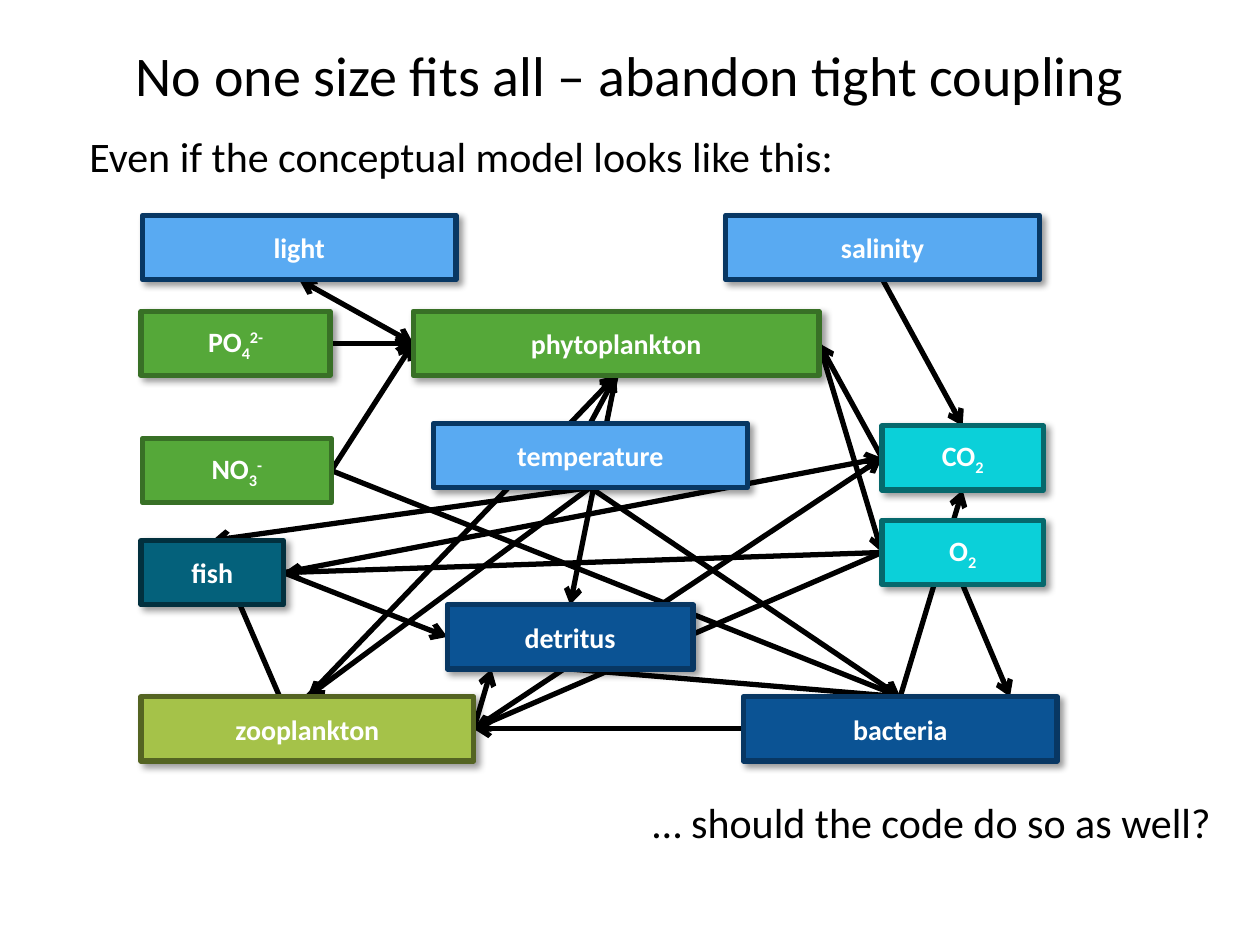
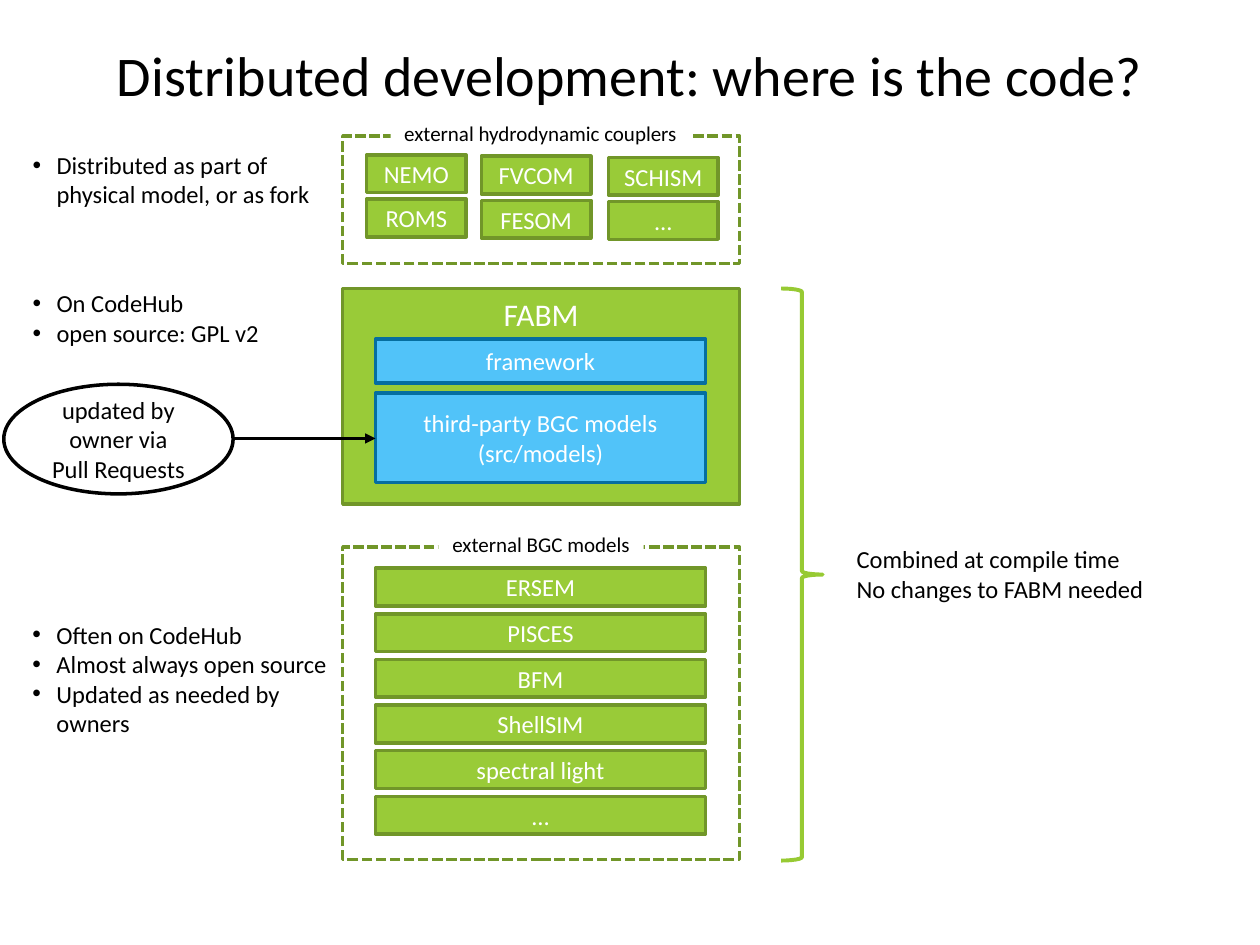
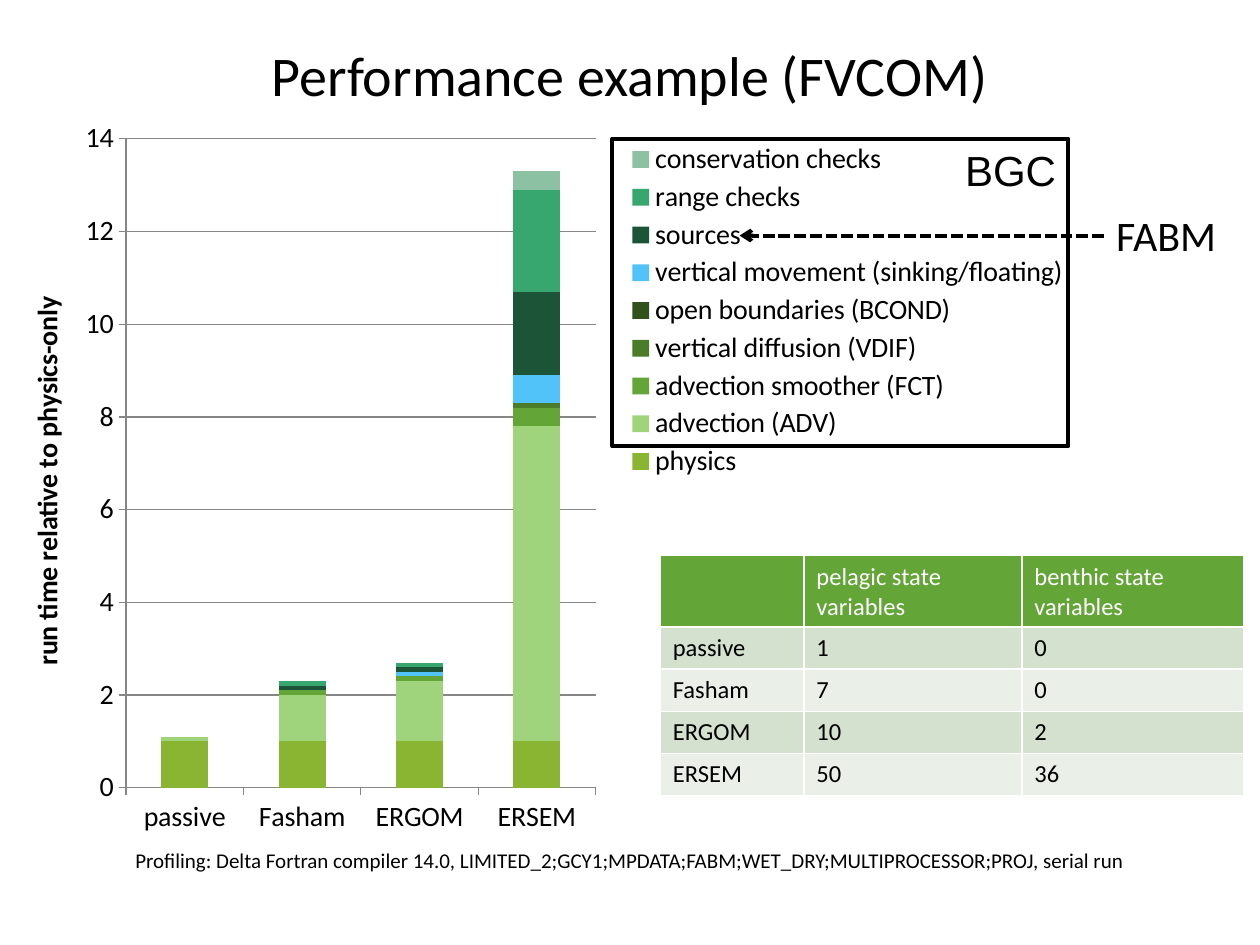
import dataclasses

import pptx
import pptx.chart.data
import pptx.dml.color
import pptx.enum.chart
import pptx.enum.dml
import pptx.enum.shapes
import pptx.enum.text
import pptx.oxml
import pptx.oxml.ns
import pptx.util
import lxml.etree

Pt = pptx.util.Pt
SHAPE = pptx.enum.shapes.MSO_SHAPE
ALIGN = pptx.enum.text.PP_ALIGN
ANCHOR = pptx.enum.text.MSO_ANCHOR
qn = pptx.oxml.ns.qn

# Anchor points on a box, as shares of its width and height
TOP, BOTTOM, LEFT, RIGHT = (0.5, 0), (0.5, 1), (0, 0.5), (1, 0.5)


@dataclasses.dataclass(frozen=True)
class Theme:
    font: str = "Calibri"
    badge_font: str = "Arial"
    # Type sizes
    title: int = 32
    lead: int = 24
    heading: int = 18
    node: int = 16
    body: int = 14
    small: int = 12
    # Colours
    black: str = "000000"
    white: str = "FFFFFF"
    grid: str = "868686"
    accent: str = "97CA33"
    header: str = "63A537"
    bands: tuple = ("D3E1CE", "EAF0E8")
    # Fill and outline pairs
    forcing: tuple = ("59AAF2", "083763")
    producer: tuple = ("55A839", "387026")
    grazer: tuple = ("A5C249", "546422")
    gas: tuple = ("0BD0D9", "06686C")
    fish: tuple = ("04617B", "02303E")
    decay: tuple = ("0B5394", "083763")
    green: tuple = ("99CB38", "719629")
    blue: tuple = ("51C3F9", "056EA0")
    plain: tuple = ("FFFFFF", "000000")
    dashed: tuple = (None, "719629")
    outlined: tuple = (None, "000000")


def rgb(value):
    return pptx.dml.color.RGBColor.from_string(value)


def sub(parent, tag, **attributes):
    return lxml.etree.SubElement(parent, qn(tag), attributes)


class Deck:
    """Holds the style and current slide; lengths are cells of a 100 by 75 grid."""

    COLUMNS, ROWS = 100, 75

    def __init__(self, theme):
        self.theme = theme
        self.file = pptx.Presentation()
        self.file.slide_width = pptx.util.Inches(10)
        self.file.slide_height = pptx.util.Inches(7.5)
        self.shapes = None

    def frame(self, left, top, width, height):
        column = self.file.slide_width / self.COLUMNS
        row = self.file.slide_height / self.ROWS
        return [round(v) for v in (left * column, top * row, width * column, height * row)]

    def slide(self, title):
        self.shapes = self.file.slides.add_slide(self.file.slide_layouts[5]).shapes
        heading = self.shapes.title
        heading.left, heading.top, heading.width, heading.height = self.frame(5, 2.7, 90, 6.4)
        self.fill_text(heading.text_frame, title, self.theme.title, align=ALIGN.CENTER,
                       anchor=ANCHOR.MIDDLE)

    def style(self, font, size, color=None, bold=False, face=None):
        font.name = face or self.theme.font
        font.size = Pt(size)
        font.bold = bold
        font.color.rgb = rgb(color or self.theme.black)

    def fill_text(self, text_frame, text, size, color=None, align=ALIGN.LEFT,
                  anchor=ANCHOR.TOP, bold=False, bullets=False, face=None, wrap=True):
        text_frame.word_wrap = wrap
        text_frame.vertical_anchor = anchor
        text_frame.text = text
        for paragraph in text_frame.paragraphs:
            paragraph.alignment = align
            if bullets:
                hanging = pptx.util.Inches(0.19)
                properties = paragraph._p.get_or_add_pPr()
                properties.set("marL", str(hanging))
                properties.set("indent", str(-hanging))
                sub(properties, "a:buFont", typeface="Arial")
                sub(properties, "a:buChar", char="•")
            self.style(paragraph.font, size, color, bold, face)

    def box(self, at, colors, text="", size=None, color=None, weight=2, kind=SHAPE.RECTANGLE,
            dashed=False, align=ALIGN.CENTER, anchor=ANCHOR.MIDDLE, **options):
        box = self.shapes.add_shape(kind, *self.frame(*at))
        box.shadow.inherit = False
        fill, line = colors
        if fill:
            box.fill.solid()
            box.fill.fore_color.rgb = rgb(fill)
        else:
            box.fill.background()
        box.line.color.rgb = rgb(line)
        box.line.width = Pt(weight)
        if dashed:
            box.line.dash_style = pptx.enum.dml.MSO_LINE.SQUARE_DOT
        if text:
            self.fill_text(box.text_frame, text, size or self.theme.body,
                           color or self.theme.white, align, anchor, **options)
        return box

    def node(self, at, colors, label, shadow=True):
        """A shadowed box; the label is text, then optional subscript and superscript."""
        text, *scripts = label
        box = self.box(at, colors, text, self.theme.node, weight=3, bold=True)
        for script, baseline in zip(scripts, ("-25000", "30000")):
            run = box.text_frame.paragraphs[0].add_run()
            run.text = script
            run._r.get_or_add_rPr().set("baseline", baseline)
        if shadow:
            effects = box._element.spPr.find(qn("a:effectLst"))
            outer = sub(effects, "a:outerShdw", blurRad=str(Pt(4)), dist=str(Pt(3)),
                        dir="2700000", algn="tl", rotWithShape="0")
            sub(sub(outer, "a:srgbClr", val=self.theme.black), "a:alpha", val="40000")

    def text(self, at, text, size, fill=None, **options):
        box = self.shapes.add_textbox(*self.frame(*at))
        if fill:
            box.fill.solid()
            box.fill.fore_color.rgb = rgb(fill)
        self.fill_text(box.text_frame, text, size, **options)

    def arrow(self, start, end, weight, tip="arrow", both=False, dashed=False):
        straight = pptx.enum.shapes.MSO_CONNECTOR.STRAIGHT
        arrow = self.shapes.add_connector(straight, *self.frame(*start, *end))
        arrow.line.color.rgb = rgb(self.theme.black)
        arrow.line.width = Pt(weight)
        if dashed:
            arrow.line.dash_style = pptx.enum.dml.MSO_LINE.SQUARE_DOT
        outline = arrow.line._get_or_add_ln()
        if both:
            sub(outline, "a:headEnd", type=tip)
        sub(outline, "a:tailEnd", type=tip)
        sub(arrow._element.spPr, "a:effectLst")

    def table(self, at, widths, heights, rows):
        table = self.shapes.add_table(len(rows), len(widths), *self.frame(*at)).table
        for column, width in zip(table.columns, widths):
            column.width = self.frame(0, 0, width, 0)[2]
        for r, (row, height) in enumerate(zip(rows, heights)):
            table.rows[r].height = self.frame(0, 0, 0, height)[3]
            fill = self.theme.bands[(r - 1) % 2] if r else self.theme.header
            for c, value in enumerate(row):
                cell = table.cell(r, c)
                cell.fill.solid()
                cell.fill.fore_color.rgb = rgb(fill)
                self.fill_text(cell.text_frame, value, self.theme.body,
                               self.theme.black if r else self.theme.white)

    @staticmethod
    def place(part, index, inner=False, **shares):
        """Gives a chart part a fixed place, in shares of the chart."""
        for old in part.findall(qn("c:layout")):
            part.remove(old)
        layout = part.makeelement(qn("c:layout"))
        part.insert(index, layout)
        manual = sub(layout, "c:manualLayout")
        if inner:
            sub(manual, "c:layoutTarget", val="inner")
        for mode in ("c:xMode", "c:yMode"):
            sub(manual, mode, val="edge")
        for name, share in shares.items():
            sub(manual, f"c:{name}", val=str(share))

    def stacked_chart(self, at, categories, series, axis_title, top, step):
        data = pptx.chart.data.CategoryChartData()
        data.categories = categories
        for name, _, values in series:
            data.add_series(name, values)
        kind = pptx.enum.chart.XL_CHART_TYPE.COLUMN_STACKED
        chart = self.shapes.add_chart(kind, *self.frame(*at), data).chart
        self.style(chart.font, self.theme.node)
        chart.has_title = False

        plot = chart.plots[0]
        plot.vary_by_categories = False
        plot.gap_width, plot.overlap = 150, 100
        for bars, (_, color, _) in zip(plot.series, series):
            bars.format.fill.solid()
            bars.format.fill.fore_color.rgb = rgb(color)

        scale = chart.value_axis
        scale.minimum_scale, scale.maximum_scale, scale.major_unit = 0, top, step
        scale.has_major_gridlines = True
        for ruled in (scale, chart.category_axis, scale.major_gridlines):
            ruled.format.line.color.rgb = rgb(self.theme.grid)
        for axis in (scale, chart.category_axis):
            axis.major_tick_mark = pptx.enum.chart.XL_TICK_MARK.OUTSIDE
        caption = scale.axis_title.text_frame
        caption.text = axis_title
        self.style(caption.paragraphs[0].font, self.theme.node, bold=True)

        chart.has_legend = True
        chart.legend.position = pptx.enum.chart.XL_LEGEND_POSITION.RIGHT
        chart.legend.include_in_layout = False
        self.place(chart._chartSpace.chart.plotArea, 0, True, x=0.11, y=0.03, w=0.41, h=0.85)
        self.place(chart.legend._element, 1, x=0.54, y=0.03, w=0.4, h=0.45)
        self.place(scale.axis_title._element, 1, x=0.02, y=0.23)


def conceptual_model(deck):
    theme = deck.theme
    deck.slide("No one size fits all – abandon tight coupling")

    # Boxes: left, top, width, colours, label
    height = 5.1
    nodes = {
        "light": (11.3, 17.1, 24.9, theme.forcing, ["light"]),
        "salinity": (57.6, 17.1, 24.9, theme.forcing, ["salinity"]),
        "phytoplankton": (32.8, 24.7, 32.2, theme.producer, ["phytoplankton"]),
        "zooplankton": (11.2, 55.3, 26.4, theme.grazer, ["zooplankton"]),
        "CO2": (70, 33.8, 12.8, theme.gas, ["CO", "2"]),
        "NO3": (11.3, 34.8, 15, theme.producer, ["NO", "3", "-"]),
        "PO4": (11.2, 24.7, 15, theme.producer, ["PO", "4", "2-"]),
        "O2": (70, 41.3, 12.8, theme.gas, ["O", "2"]),
        "fish": (11.2, 42.9, 11.3, theme.fish, ["fish"]),
        "bacteria": (59, 55.3, 24.9, theme.decay, ["bacteria"]),
        "detritus": (35.5, 48, 19.5, theme.decay, ["detritus"]),
        "temperature": (34.4, 33.6, 24.9, theme.forcing, ["temperature"]),
    }
    links = [
        ("temperature", TOP, "phytoplankton", BOTTOM),
        ("salinity", BOTTOM, "CO2", TOP),
        ("PO4", RIGHT, "phytoplankton", LEFT),
        ("light", BOTTOM, "phytoplankton", LEFT),
        ("NO3", RIGHT, "phytoplankton", LEFT),
        ("temperature", BOTTOM, "zooplankton", TOP),
        ("temperature", BOTTOM, "bacteria", TOP),
        ("phytoplankton", BOTTOM, "detritus", TOP),
        ("zooplankton", RIGHT, "detritus", (0.18, 1)),
        ("detritus", BOTTOM, "bacteria", TOP),
        ("NO3", RIGHT, "bacteria", TOP),
        ("zooplankton", BOTTOM, "fish", TOP),
        ("bacteria", LEFT, "zooplankton", RIGHT),
        ("phytoplankton", RIGHT, "O2", LEFT),
        ("zooplankton", RIGHT, "CO2", LEFT),
        ("CO2", LEFT, "phytoplankton", RIGHT),
        ("temperature", BOTTOM, "fish", TOP),
        ("fish", RIGHT, "detritus", LEFT),
        ("fish", RIGHT, "CO2", LEFT),
        ("bacteria", TOP, "CO2", BOTTOM),
        ("O2", BOTTOM, "bacteria", (0.85, 0)),
        ("O2", LEFT, "fish", RIGHT),
        ("O2", LEFT, "zooplankton", RIGHT),
        ("zooplankton", TOP, "phytoplankton", BOTTOM),
    ]

    def point(name, side):
        left, top, width, *_ = nodes[name]
        return left + side[0] * width, top + side[1] * height

    # Arrows lie behind the boxes
    for source, source_side, target, target_side in links:
        deck.arrow(point(source, source_side), point(target, target_side), 3,
                   both=source == "light")
    for name, (left, top, width, colors, label) in nodes.items():
        deck.node((left, top, width, height), colors, label, shadow=name != "NO3")

    for at, remark in (((3, 9.9, 67.2, 5), "Even if the conceptual model looks like this:"),
                       ((50.6, 62.7, 46.7, 5), "… should the code do so as well?")):
        deck.text(at, remark, theme.lead, align=ALIGN.CENTER, wrap=False)


def distributed_development(deck):
    theme = deck.theme
    deck.slide("Distributed development: where is the code?")
    outer_left, outer_width = 27.2, 31.5
    inner_left, inner_width = 29.8, 26.2
    bar = 3

    # FABM core
    deck.box((outer_left, 22.9, outer_width, 17.1), theme.green, "FABM", theme.heading,
             anchor=ANCHOR.TOP)
    deck.box((inner_left, 26.9, inner_width, 3.5), theme.blue, "framework")
    deck.box((inner_left, 31.2, inner_width, 7.1), theme.blue,
             "third-party BGC models\n(src/models)")
    deck.box((0.3, 30.5, 18.2, 8.7), theme.plain, "updated by owner via Pull Requests",
             color=theme.black, kind=SHAPE.OVAL)
    deck.arrow((18.5, 34.8), (inner_left, 34.8), 1.5, tip="triangle")

    # Dashed frames with their captions
    for top, height, caption_left, caption_width, caption in (
            (10.8, 10.1, 31, 23.8, "external hydrodynamic couplers"),
            (43.4, 24.8, 34.8, 16.3, "external BGC models")):
        deck.box((outer_left, top, outer_width, height), theme.dashed, dashed=True)
        deck.text((caption_left, top - 1.7, caption_width, bar), caption, theme.small,
                  fill=theme.white, align=ALIGN.CENTER, wrap=False)

    # External code
    couplers = ((29.1, 7.9, ("NEMO", "ROMS")),
                (38.2, 8.7, ("FVCOM", "FESOM")),
                (48.3, 8.7, ("SCHISM", "…")))
    for c, (left, width, names) in enumerate(couplers):
        for r, coupler in enumerate(names):
            deck.box((left, 12.3 + 0.1 * c + 3.5 * r, width, bar), theme.green, coupler)
    for r, model in enumerate(("ERSEM", "PISCES", "BFM", "ShellSIM", "spectral light", "…")):
        deck.box((inner_left, 45.1 + 3.62 * r, inner_width, bar), theme.green, model)

    # Notes at the sides
    for top, width, height, note in (
            (11.4, 24.2, 5.7, "Distributed as part of physical model, or as fork"),
            (22.4, 24.2, 5.7, "On CodeHub\nopen source: GPL v2"),
            (48.7, 25.6, 10.4, "Often on CodeHub\nAlmost always open source\n"
                               "Updated as needed by owners")):
        deck.text((1.6, top, width, height), note, theme.body, bullets=True)
    deck.box((62, 22.9, 3.3, 45.4), (None, theme.accent), weight=2.25, kind=SHAPE.RIGHT_BRACE)
    deck.text((67, 42.7, 25, 5.7), "Combined at compile time\nNo changes to FABM needed",
              theme.body, wrap=False)


def performance(deck):
    theme = deck.theme
    deck.slide("Performance example (FVCOM)")

    # Run time by process
    deck.stacked_chart(
        (0, 9.2, 90.9, 60.6),
        ("passive", "Fasham", "ERGOM", "ERSEM"),
        (("physics", "8AB532", (1, 1, 1, 1)),
         ("advection (ADV)", "9FD47D", (0.1, 1, 1.3, 6.8)),
         ("advection smoother (FCT)", "63A537", (0, 0.1, 0.1, 0.4)),
         ("vertical diffusion (VDIF)", "4A7C29", (0, 0, 0, 0.1)),
         ("open boundaries (BCOND)", "31521C", (0, 0, 0, 0)),
         ("vertical movement (sinking/floating)", "51C3F9", (0, 0, 0.1, 0.6)),
         ("sources", "1C5438", (0, 0.1, 0.1, 1.8)),
         ("range checks", "37A76F", (0, 0.1, 0.1, 2.2)),
         ("conservation checks", "8DC1A3", (0, 0, 0, 0.4))),
        "run time relative to physics-only", top=14, step=2)

    # Marks on the legend
    deck.box((48.6, 11, 36.2, 24.4), theme.outlined, "BGC", theme.lead, theme.black, 2.25,
             align=ALIGN.RIGHT, anchor=ANCHOR.TOP, face=theme.badge_font)
    deck.arrow((87.6, 18.7), (58.7, 18.7), 2.25, dashed=True)
    deck.text((87.6, 16.1, 11.2, 5), "FABM", theme.lead, wrap=False)

    # Model sizes
    deck.table((52.4, 44.1, 46.3, 16.7), (11.4, 17.3, 17.6), (4.3, 3.1, 3.1, 3.1, 3.1),
               (("", "pelagic state variables", "benthic state variables"),
                ("passive", "1", "0"),
                ("Fasham", "7", "0"),
                ("ERGOM", "10", "2"),
                ("ERSEM", "50", "36")))
    deck.text((0, 66.8, 100, 3),
              "Profiling: Delta Fortran compiler 14.0, "
              "LIMITED_2;GCY1;MPDATA;FABM;WET_DRY;MULTIPROCESSOR;PROJ, serial run",
              theme.small, align=ALIGN.CENTER)


def main():
    deck = Deck(Theme())
    conceptual_model(deck)
    distributed_development(deck)
    performance(deck)
    deck.file.save("out.pptx")


if __name__ == "__main__":
    main()
